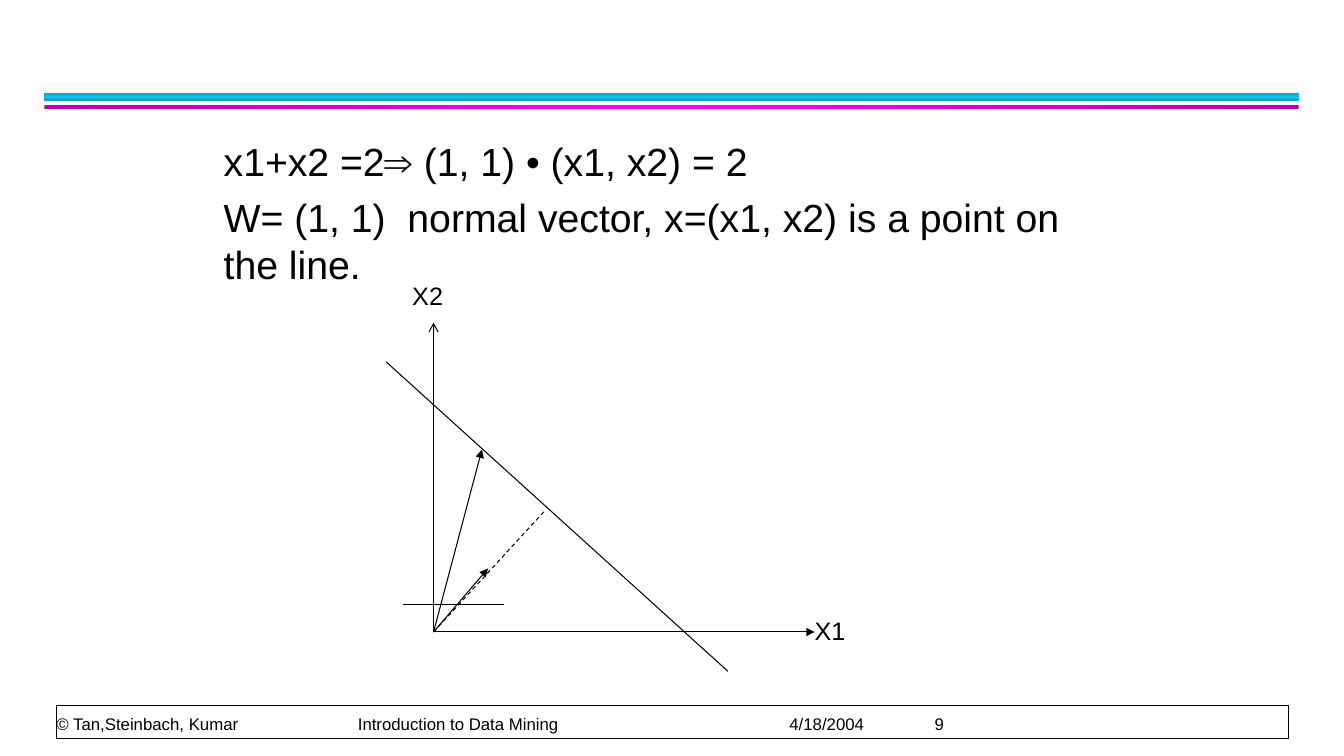
from copy import deepcopy

from lxml import etree
from pptx import Presentation
from pptx import util as u
from pptx.dml.color import RGBColor
from pptx.enum import dml, shapes, text
from pptx.oxml.ns import qn

BLACK = RGBColor(0, 0, 0)
WHITE = RGBColor(0xFF, 0xFF, 0xFF)
CYAN = RGBColor(0x12, 0xC2, 0xE9)
DARK_CYAN = RGBColor(0x0E, 0x9B, 0xBA)
MAGENTA = RGBColor(0xFF, 0x00, 0xFF)
DARK_MAGENTA = RGBColor(0xB2, 0x00, 0xB2)

ORIGIN = (4.3, 6.27)


def bezier(start, control_1, control_2, end, steps=8):
    """Return points along a cubic curve, without its start."""
    points = []
    for step in range(1, steps + 1):
        t = step / steps
        weights = ((1 - t) ** 3, 3 * t * (1 - t) ** 2, 3 * t * t * (1 - t), t ** 3)
        corners = (start, control_1, control_2, end)
        points.append(tuple(sum(w * c[axis] for w, c in zip(weights, corners))
                            for axis in (0, 1)))
    return points


class SlideBuilder:
    font = "Arial"
    ink = BLACK
    thin = u.Pt(0.75)

    def __init__(self, slide):
        self.slide = slide

    def rectangle(self, *place):
        shape = self.slide.shapes.add_shape(
            shapes.MSO_SHAPE.RECTANGLE, *map(u.Inches, place))
        shape.shadow.inherit = False
        return shape

    def band(self, place, edge, middle, angle):
        """Draw a bar whose colour runs from edge to middle and back."""
        bar = self.rectangle(*place)
        bar.line.fill.background()
        bar.fill.gradient()
        bar.fill.gradient_angle = angle
        stops = bar.fill._fill._gradFill.gsLst
        stops.append(deepcopy(stops[0]))
        for stop, position, colour in zip(
                bar.fill.gradient_stops, (0, 0.5, 1), (edge, middle, edge)):
            stop.position = position
            stop.color.rgb = colour

    def frame(self, *place):
        box = self.rectangle(*place)
        box.fill.solid()
        box.fill.fore_color.rgb = WHITE
        box.line.color.rgb = self.ink
        box.line.width = u.Pt(1)

    def label(self, place, lines, size, frame_format=None, para_format=None,
              gap=None, tabs=()):
        box = self.slide.shapes.add_textbox(*map(u.Inches, place))
        for name, value in {"word_wrap": True, **(frame_format or {})}.items():
            setattr(box.text_frame, name, value)
        for index, line in enumerate(lines):
            para = (box.text_frame.add_paragraph() if index
                    else box.text_frame.paragraphs[0])
            if tabs:
                stops = etree.SubElement(para._p.get_or_add_pPr(), qn("a:tabLst"))
                for tab in tabs:
                    etree.SubElement(stops, qn("a:tab"),
                                     pos=str(u.Inches(tab)), algn="l")
            for name, value in (para_format or {}).items():
                setattr(para, name, value)
            if index and gap:
                para.space_before = gap
            span = para.add_run()
            span.text = line
            span.font.name = self.font
            span.font.size = u.Pt(size)
            span.font.color.rgb = self.ink

    def line(self, start, end, arrow=None, dash=None):
        line = self.slide.shapes.add_connector(
            shapes.MSO_CONNECTOR.STRAIGHT, *map(u.Inches, start + end))
        line.line.color.rgb = self.ink
        line.line.width = self.thin
        if dash:
            line.line.dash_style = dash
        if arrow:
            etree.SubElement(line.line._get_or_add_ln(), qn("a:tailEnd"), type=arrow)
        etree.SubElement(line._element.spPr, qn("a:effectLst"))

    def curve(self, start, *segments):
        """Draw an open curve; each segment is two controls and an end."""
        points = []
        for segment in segments:
            points += bezier(points[-1] if points else start, *segment)
        builder = self.slide.shapes.build_freeform(*start, scale=u.Inches(1))
        builder.add_line_segments(points, close=False)
        arc = builder.convert_to_shape()
        arc.shadow.inherit = False
        arc.fill.background()
        arc.line.color.rgb = self.ink
        arc.line.width = self.thin


def main():
    deck = Presentation()
    deck.slide_width, deck.slide_height = u.Inches(13.33), u.Inches(7.5)
    page = SlideBuilder(deck.slides.add_slide(deck.slide_layouts[6]))

    page.band((0.44, 0.92, 12.44, 0.08), DARK_CYAN, CYAN, 90)
    page.band((0.44, 1.04, 12.44, 0.04), DARK_MAGENTA, MAGENTA, 0)

    page.frame(0.56, 7, 12.22, 0.33)
    page.label(
        (0.56, 7, 12.2, 0.28),
        ["© Tan,Steinbach, Kumar\tIntroduction to Data Mining\t4/18/2004\t9"], 12,
        {"vertical_anchor": text.MSO_ANCHOR.BOTTOM, "margin_left": 0,
         "margin_right": 0, "margin_top": 0, "margin_bottom": 0},
        {"line_spacing": u.Pt(20)}, tabs=(2.99, 7.27, 8.71))

    page.label(
        (2.12, 1.31, 9.12, 5.61),
        ["x1+x2 =2⇒ (1, 1) • (x1, x2) = 2",
         "W= (1, 1)  normal vector, x=(x1, x2) is a point on the line."],
        28, para_format={"space_after": u.Pt(4)}, gap=u.Pt(2.8))

    page.line(ORIGIN, (4.3, 3.2), "arrow")
    page.line(ORIGIN, (8.08, 6.27), "triangle")
    page.line((3.83, 3.59), (7.22, 6.66))
    for vector_tip in ((4.84, 5.64), (4.78, 4.46)):
        page.line(ORIGIN, vector_tip, "triangle")
    page.line(ORIGIN, (5.41, 5.06), dash=dml.MSO_LINE.DASH)
    for axis_name, left, top in (("X1", 7.98, 6.06), ("X2", 3.99, 2.73)):
        page.label((left, top, 0.51, 0.4), [axis_name], 18, {"word_wrap": False})
    page.curve((4.38, 5.95),
               ((4.41, 5.95), (4.44, 5.94), (4.46, 5.95)),
               ((4.49, 5.97), (4.53, 6.02), (4.54, 6.03)))

    deck.save("out.pptx")


if __name__ == "__main__":
    main()
